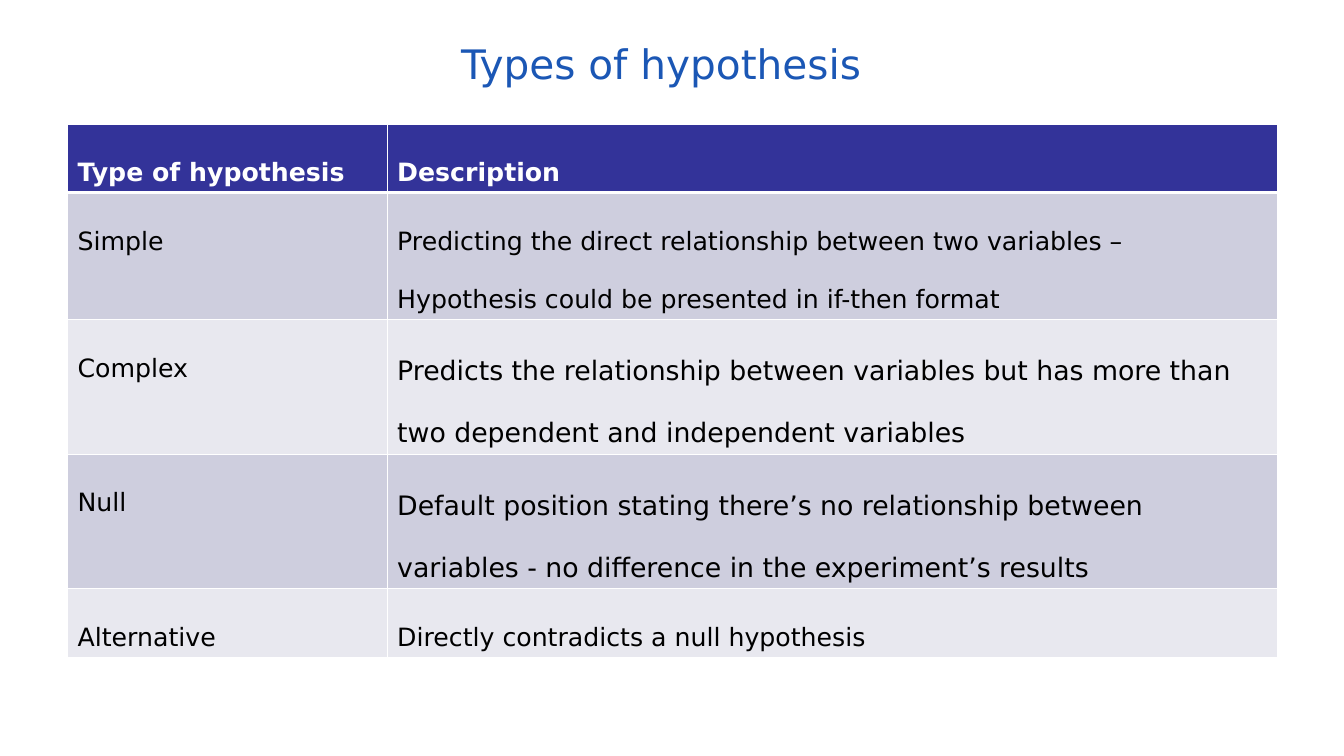
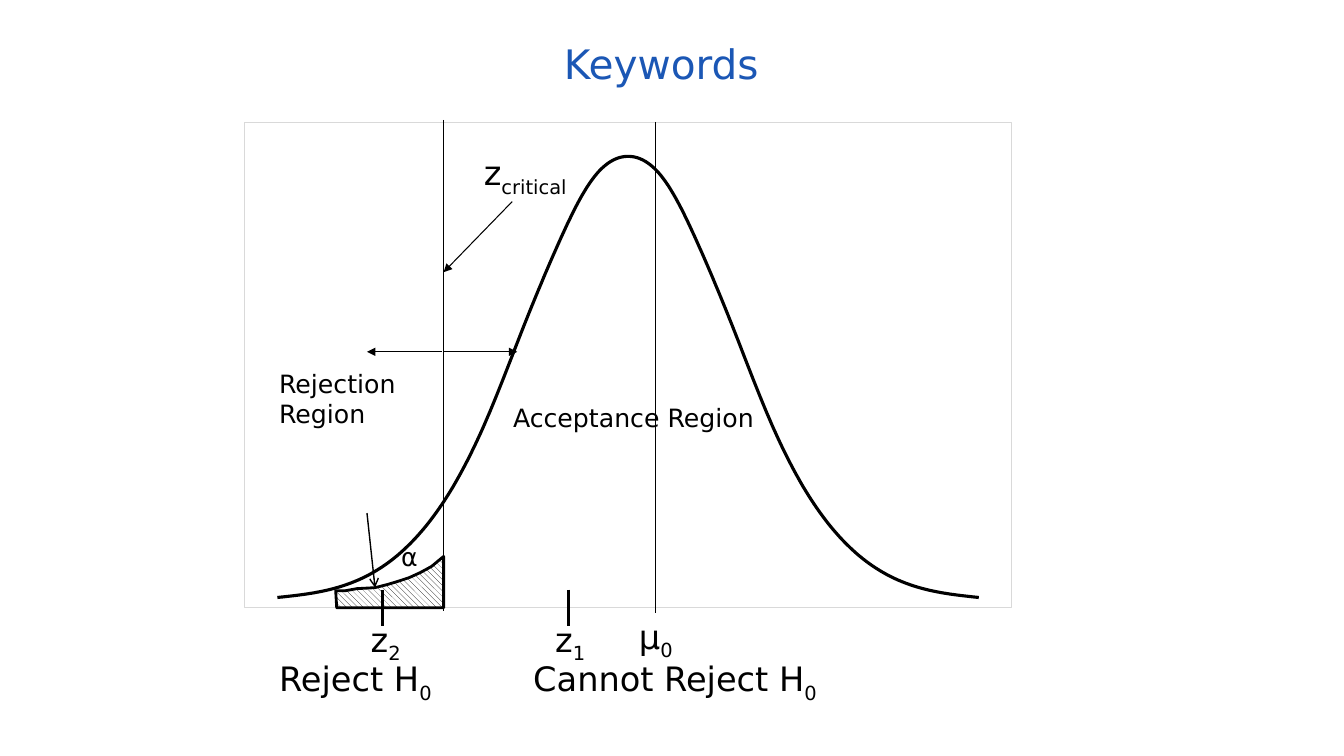
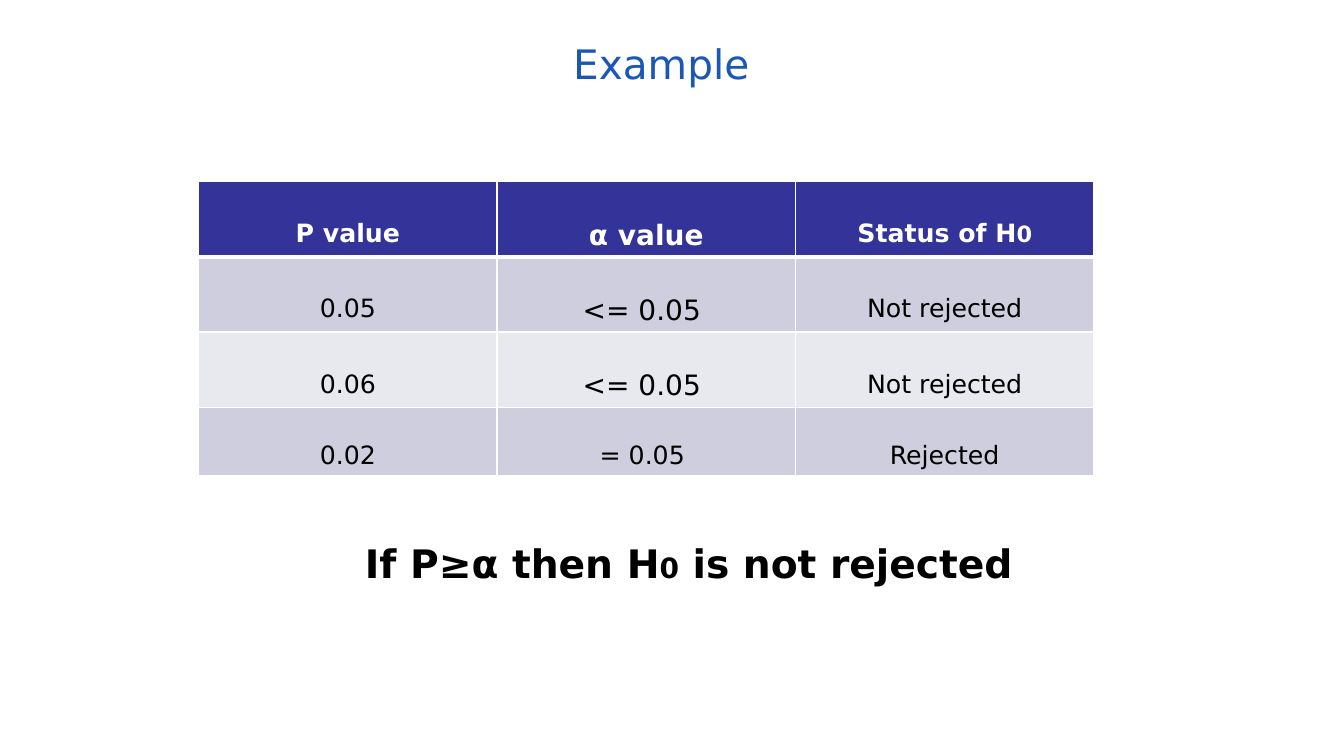
from pptx import Presentation
from pptx.chart.data import CategoryChartData
from pptx.dml.color import RGBColor
from pptx.enum.chart import XL_CHART_TYPE as ChartType
from pptx.enum.dml import MSO_PATTERN as Pattern
from pptx.enum.shapes import MSO_CONNECTOR as Connector
from pptx.enum.text import MSO_ANCHOR as Anchor, MSO_AUTO_SIZE as AutoSize, PP_ALIGN as Align
from pptx.oxml import parse_xml
from pptx.oxml.ns import nsdecls, qn
from pptx.oxml.xmlchemy import OxmlElement
from pptx.util import Inches, Pt

FONT = "DejaVu Sans"
BLACK, WHITE = "000000", "FFFFFF"
TITLE_BLUE, HEADER_BLUE = "1B57B5", "333399"
BAND_DARK, BAND_LIGHT = "CECEDE", "E8E8EF"
FRAME_GREY = "D9D9D9"


def color(value):
    return RGBColor.from_string(value)


def set_font(font, size, ink=BLACK, bold=False):
    font.name = FONT
    font.size = Pt(size)
    font.bold = bold
    font.color.rgb = color(ink)


def write(para, content, size=18, ink=BLACK, bold=False, align=Align.LEFT):
    para.alignment = align
    set_font(para.font, size, ink, bold)
    spans = [(content, None)] if isinstance(content, str) else content
    for text, span_size in spans:
        span = para.add_run()
        span.text = text
        if span_size:
            span.font.size = Pt(span_size)


def add_page(deck, title):
    page = deck.slides.add_slide(deck.slide_layouts[5])
    box = page.shapes.title
    box.left, box.top, box.width, box.height = map(Inches, (0.56, 0.25, 12, 0.75))
    frame = box.text_frame
    frame.auto_size = AutoSize.NONE
    frame.vertical_anchor = Anchor.MIDDLE
    frame.margin_left = frame.margin_right = Inches(0.11)
    frame.margin_top = frame.margin_bottom = Inches(0.06)
    write(frame.paragraphs[0], title, 29, TITLE_BLUE, align=Align.CENTER)
    return page


def add_text(page, at, content, size=18, bold=False, align=Align.LEFT, subscript=None):
    box = page.shapes.add_textbox(*map(Inches, at))
    box.text_frame.word_wrap = True
    box.text_frame.auto_size = AutoSize.SHAPE_TO_FIT_TEXT
    para = box.text_frame.paragraphs[0]
    write(para, content, size, bold=bold, align=align)
    if subscript:
        span = para.add_run()
        span.text = subscript
        span._r.get_or_add_rPr().set("baseline", "-25000")


def set_borders(cell, bottom):
    properties = cell._tc.get_or_add_tcPr()
    for side, width in (("L", 1), ("R", 1), ("T", 1), ("B", bottom)):
        properties.append(parse_xml(
            f'<a:ln{side} {nsdecls("a")} w="{Pt(width)}"><a:solidFill>'
            f'<a:srgbClr val="{WHITE}"/></a:solidFill></a:ln{side}>'))


def add_table(page, left, top, widths, heights, rows, align=Align.LEFT, anchor=Anchor.TOP):
    table = page.shapes.add_table(
        len(rows), len(widths), Inches(left), Inches(top),
        Inches(sum(widths)), Inches(sum(heights))).table
    for column, width in zip(table.columns, widths):
        column.width = Inches(width)
    for index, (row, height, contents) in enumerate(zip(table.rows, heights, rows)):
        row.height = Inches(height)
        header = index == 0
        fill = HEADER_BLUE if header else BAND_DARK if index % 2 else BAND_LIGHT
        for cell, content in zip(row.cells, contents):
            set_borders(cell, 3 if header else 1)
            cell.fill.solid()
            cell.fill.fore_color.rgb = color(fill)
            cell.vertical_anchor = anchor
            para = cell.text_frame.paragraphs[0]
            para.line_spacing = 2.0
            write(para, content, ink=WHITE if header else BLACK, bold=header, align=align)


def add_line(page, start, end, width=0.75, arrow=None):
    line = page.shapes.add_connector(Connector.STRAIGHT, *map(Inches, (*start, *end)))
    line.line.color.rgb = color(BLACK)
    line.line.width = Pt(width)
    line._element.spPr.append(OxmlElement("a:effectLst"))
    if arrow:
        tip = OxmlElement("a:tailEnd")
        tip.set("type", arrow)
        line.line._get_or_add_ln().append(tip)


def add_bell_curve(page):
    rising = [0, 1, 3, 7, 14, 25, 41, 61, 80, 95]
    values = rising + [100] + rising[::-1]
    data = CategoryChartData()
    data.categories = [str(number) for number in range(1, len(values) + 1)]
    data.add_series("Series 1", values)
    chart = page.shapes.add_chart(
        ChartType.LINE, *map(Inches, (2.42, 1.21, 7.62, 4.82)), data).chart
    chart.has_legend = chart.has_title = False
    set_font(chart.font, 10)
    chart.category_axis.visible = chart.value_axis.visible = False
    chart.value_axis.has_major_gridlines = False
    chart.value_axis.minimum_scale, chart.value_axis.maximum_scale = 0, 100
    plot = chart.plots[0]
    plot.vary_by_categories = False
    curve = plot.series[0]
    curve.smooth = True
    curve.format.line.color.rgb = color(BLACK)
    curve.format.line.width = Pt(2.25)

    plot_area = chart._chartSpace.chart.plotArea
    for layout in plot_area.findall(qn("c:layout")):
        plot_area.remove(layout)
    places = "".join(f'<c:{name} val="{value}"/>' for name, value in (
        ("layoutTarget", "inner"), ("xMode", "edge"), ("yMode", "edge"),
        ("x", 0.02), ("y", 0.07), ("w", 0.96), ("h", 0.91)))
    plot_area.insert(0, parse_xml(
        f'<c:layout {nsdecls("c")}><c:manualLayout>{places}</c:manualLayout></c:layout>'))
    chart._chartSpace.chart.addnext(parse_xml(
        f'<c:spPr {nsdecls("c", "a")}><a:noFill/><a:ln w="{Pt(0.75)}"><a:solidFill>'
        f'<a:srgbClr val="{FRAME_GREY}"/></a:solidFill></a:ln></c:spPr>'))


def add_rejection_area(page):
    outline = [(333, 586), (343, 586), (354, 584), (372, 583), (384, 580), (394, 577),
               (406, 573), (417, 568), (428, 562), (440, 552), (440, 603)]
    builder = page.shapes.build_freeform(334, 603, scale=Inches(0.01))
    builder.add_line_segments(outline, close=True)
    area = builder.convert_to_shape()
    area.shadow.inherit = False
    area.fill.patterned()
    area.fill.pattern = Pattern.WIDE_DOWNWARD_DIAGONAL
    area.fill.fore_color.rgb = color(BLACK)
    area.fill.back_color.rgb = color(WHITE)
    area.line.color.rgb = color(BLACK)
    area.line.width = Pt(2)


def build_types(deck):
    page = add_page(deck, "Types of hypothesis")
    add_table(page, 0.67, 1.23, [3.17, 8.83], [0.67, 1.25, 1.33, 1.33, 0.67], [
        ("Type of hypothesis", "Description"),
        ("Simple", "Predicting the direct relationship between two variables – "
                   "Hypothesis could be presented in if-then format"),
        ("Complex", [("Predicts the relationship between variables but has more than "
                      "two dependent and independent variables", 19.1)]),
        ("Null", [("Default position stating there’s no relationship between "
                   "variables - no difference in the experiment’s results", 19.1)]),
        ("Alternative", "Directly contradicts a null hypothesis"),
    ])


def build_keywords(deck):
    page = add_page(deck, "Keywords")
    add_bell_curve(page)
    add_line(page, (3.64, 5.09), (3.72, 5.83), 1, "arrow")
    add_rejection_area(page)
    for start, end in (((6.5, 1.21), (6.5, 6.08)), ((4.4, 1.19), (4.4, 6.06))):
        add_line(page, start, end)
    for start, end in (((4.38, 3.49), (3.64, 3.49)), ((4.4, 3.49), (5.13, 3.49)),
                       ((5.08, 2), (4.4, 2.7))):
        add_line(page, start, end, arrow="triangle")
    for x in (3.79, 5.64):
        add_line(page, (x, 5.85), (x, 6.21), 2.25)
    for at, text in (((3.88, 5.32, 0.46, 0.4), "α"),
                     ((2.67, 3.6, 1.51, 0.71), "Rejection Region"),
                     ((4.99, 3.94, 2.63, 0.4), "Acceptance Region")):
        add_text(page, at, text)
    for at, text, subscript, align in (
            ((6.08, 6.06, 0.85, 0.51), "μ", "0", Align.CENTER),
            ((5.23, 6.09, 0.85, 0.51), "z", "1", Align.CENTER),
            ((3.4, 6.09, 0.85, 0.51), "z", "2", Align.CENTER),
            ((4.6, 1.46, 1.22, 0.51), "z", "critical", Align.CENTER),
            ((2.67, 6.48, 2.02, 0.51), "Reject H", "0", Align.LEFT),
            ((5.19, 6.48, 3.21, 0.51), "Cannot Reject H", "0", Align.LEFT)):
        add_text(page, at, text, 24, align=align, subscript=subscript)


def build_example(deck):
    page = add_page(deck, "Example")
    limit = [("<= 0.05 ", 20)]
    add_table(page, 1.97, 1.8, [2.96] * 3, [0.74, 0.74, 0.74, 0.67], [
        ("P value", [("α value", 20)], [("Status of H", None), ("0", 16)]),
        ("0.05", limit, "Not rejected"),
        ("0.06", limit, "Not rejected"),
        ("0.02", "= 0.05 ", "Rejected"),
    ], Align.CENTER, Anchor.MIDDLE)
    add_text(page, (3.44, 5.3, 6.78, 0.57),
             [("If P≥α then H", None), ("0", 20), (" is not rejected", None)],
             28, True, Align.CENTER)


def main():
    deck = Presentation()
    deck.slide_width, deck.slide_height = Inches(13.33), Inches(7.5)
    build_types(deck)
    build_keywords(deck)
    build_example(deck)
    deck.save("out.pptx")


if __name__ == "__main__":
    main()
